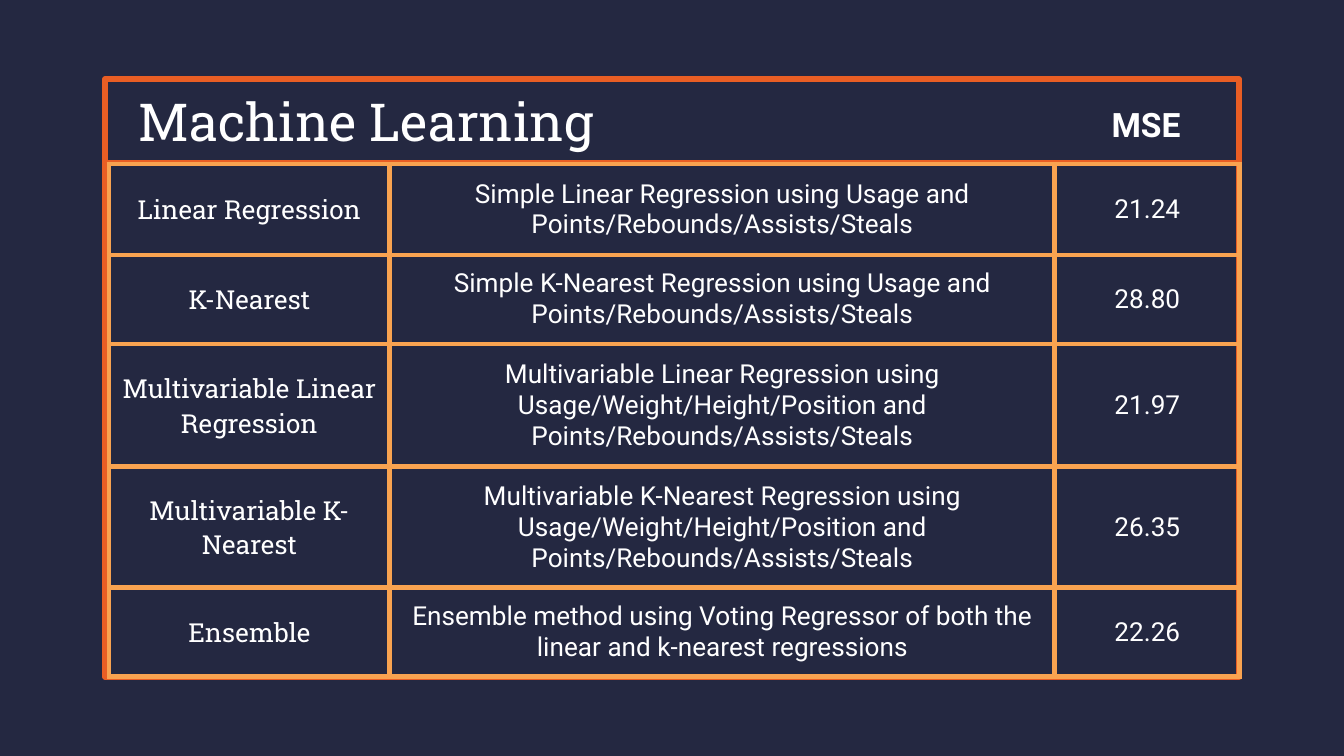
from lxml import etree
from pptx import Presentation
from pptx import util as u
from pptx.dml.color import RGBColor
from pptx.enum import shapes, text
from pptx.oxml.ns import qn

SCALE = 6804
INSET = 13
WHITE, NAVY, ORANGE, AMBER = "FFFFFF", "242841", "E95E24", "F9A350"
SANS, SLAB = "Roboto", "Roboto Slab"
COLUMNS = [281, 665, 185]
ROWS = [91, 89, 123, 121, 89]
MODELS = [
    ("Linear Regression",
     "Simple Linear Regression using Usage and Points/Rebounds/Assists/Steals", "21.24"),
    ("K-Nearest",
     "Simple K-Nearest Regression using Usage and Points/Rebounds/Assists/Steals", "28.80"),
    ("Multivariable Linear Regression",
     "Multivariable Linear Regression using Usage/Weight/Height/Position and "
     "Points/Rebounds/Assists/Steals", "21.97"),
    ("Multivariable K-Nearest",
     "Multivariable K-Nearest Regression using Usage/Weight/Height/Position and "
     "Points/Rebounds/Assists/Steals", "26.35"),
    ("Ensemble",
     "Ensemble method using Voting Regressor of both the linear and k-nearest regressions", "22.26"),
]


def px(length):
    """Turn px into EMU."""
    return u.Emu(length * SCALE)


def color(code):
    """Turn a hex string into a colour."""
    return RGBColor.from_string(code)


def set_margins(target):
    """Give a text frame or a cell the same inset on every side."""
    for side in ("left", "top", "right", "bottom"):
        setattr(target, f"margin_{side}", px(INSET))


def write(frame, words, size, font, align, bold=False):
    """Fill a text frame with one formatted paragraph."""
    frame.text = words
    frame.word_wrap = True
    para = frame.paragraphs[0]
    para.alignment = align
    span = para.runs[0]
    span.font.size = u.Pt(size)
    span.font.name = font
    span.font.bold = bold
    span.font.color.rgb = color(WHITE)


def outline(cell, code, points):
    """Draw a line on all four sides of a cell."""
    props = cell._tc.get_or_add_tcPr()
    for index, side in enumerate(("lnL", "lnR", "lnT", "lnB")):
        line = etree.Element(qn(f"a:{side}"), w=str(u.Pt(points)))
        fill = etree.SubElement(line, qn("a:solidFill"))
        etree.SubElement(fill, qn("a:srgbClr"), val=code)
        props.insert(index, line)


def add_frame(page, left, top, width, height, header):
    """Draw the orange frame and the rule under its header."""
    box = page.shapes.add_shape(shapes.MSO_SHAPE.RECTANGLE, px(left), px(top), px(width), px(height))
    box.shadow.inherit = False
    box.fill.background()
    rule = page.shapes.add_connector(
        shapes.MSO_CONNECTOR.STRAIGHT,
        px(left + 3), px(top + header), px(left + width - 3), px(top + header))
    etree.SubElement(rule._element.spPr, qn("a:effectLst"))
    for part in (box, rule):
        part.line.color.rgb = color(ORANGE)
        part.line.width = u.Pt(3)


def add_header(page, left, top, width, height):
    """Place the title and the score heading in the header band."""
    title = page.shapes.title
    title.left, title.top = px(left + 21), px(top)
    title.width, title.height = px(width - 42), px(height)
    write(title.text_frame, "Machine Learning", 28, SLAB, text.PP_ALIGN.LEFT)
    title.text_frame.vertical_anchor = text.MSO_ANCHOR.MIDDLE
    title.text_frame.auto_size = text.MSO_AUTO_SIZE.NONE
    score = page.shapes.add_textbox(px(left + width - 188), px(top + 12), px(190), px(67))
    write(score.text_frame, "MSE", 18, SANS, text.PP_ALIGN.CENTER, bold=True)
    for box in (title, score):
        set_margins(box.text_frame)


def add_models(page, left, top):
    """Place the table of models and their errors."""
    table = page.shapes.add_table(
        len(ROWS), len(COLUMNS), px(left), px(top), px(sum(COLUMNS)), px(sum(ROWS))).table
    table.first_row = table.horz_banding = False
    for column, width in zip(table.columns, COLUMNS):
        column.width = px(width)
    for row, height, model in zip(table.rows, ROWS, MODELS):
        row.height = px(height)
        for cell, words, font in zip(row.cells, model, (SLAB, SANS, SANS)):
            write(cell.text_frame, words, 14, font, text.PP_ALIGN.CENTER)
            cell.vertical_anchor = text.MSO_ANCHOR.MIDDLE
            set_margins(cell)
            cell.fill.background()
            outline(cell, AMBER, 3)


def main():
    """Build the slide and save the deck."""
    deck = Presentation()
    deck.slide_width, deck.slide_height = px(1344), px(756)
    page = deck.slides.add_slide(deck.slide_layouts.get_by_name("Title Only"))
    page.background.fill.solid()
    page.background.fill.fore_color.rgb = color(NAVY)
    left, top, width, header = 105, 79, 1134, 84
    add_frame(page, left, top, width, 598, header)
    add_header(page, left, top, width, header)
    add_models(page, left + 4, top + header + 1)
    deck.save("out.pptx")


if __name__ == "__main__":
    main()
